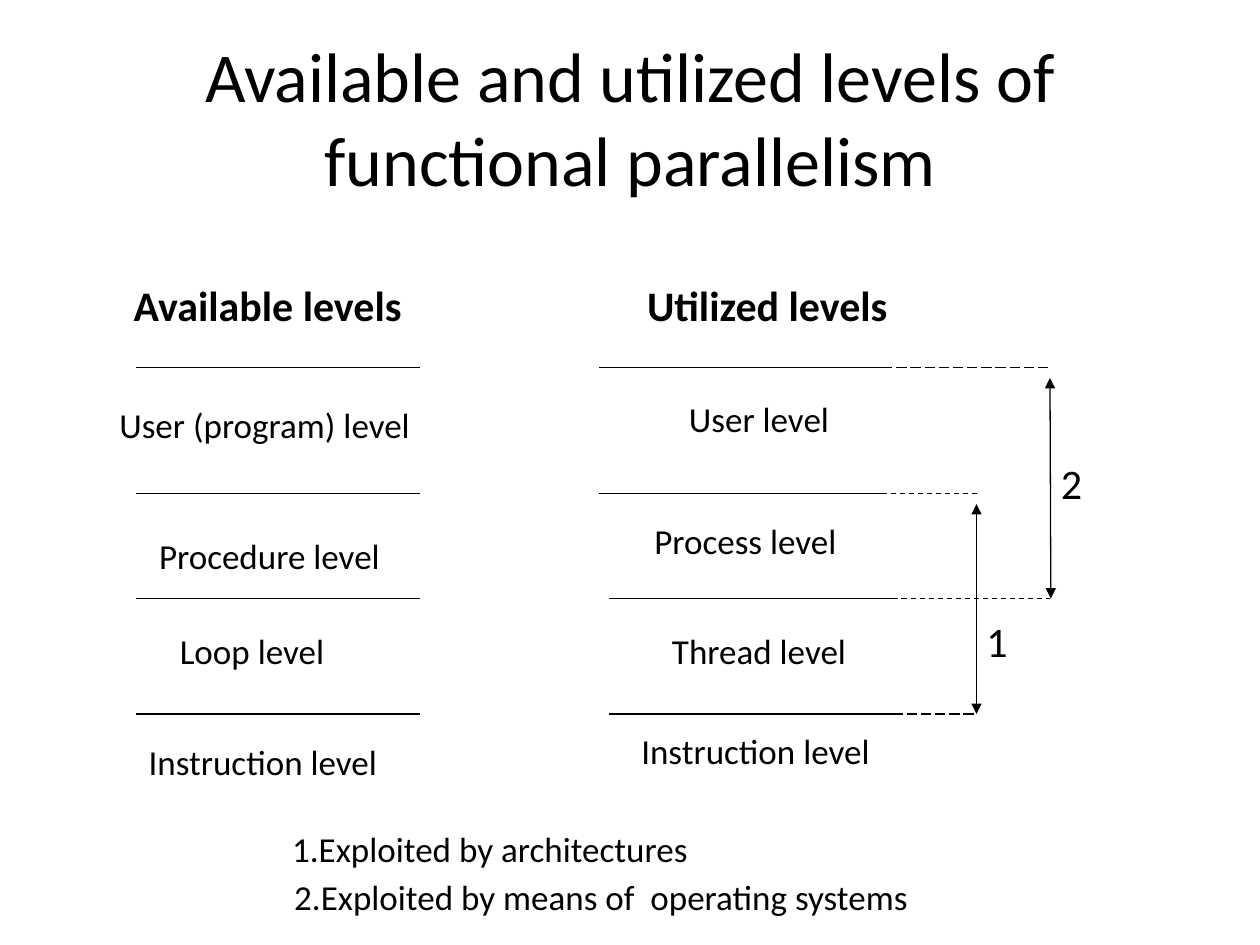
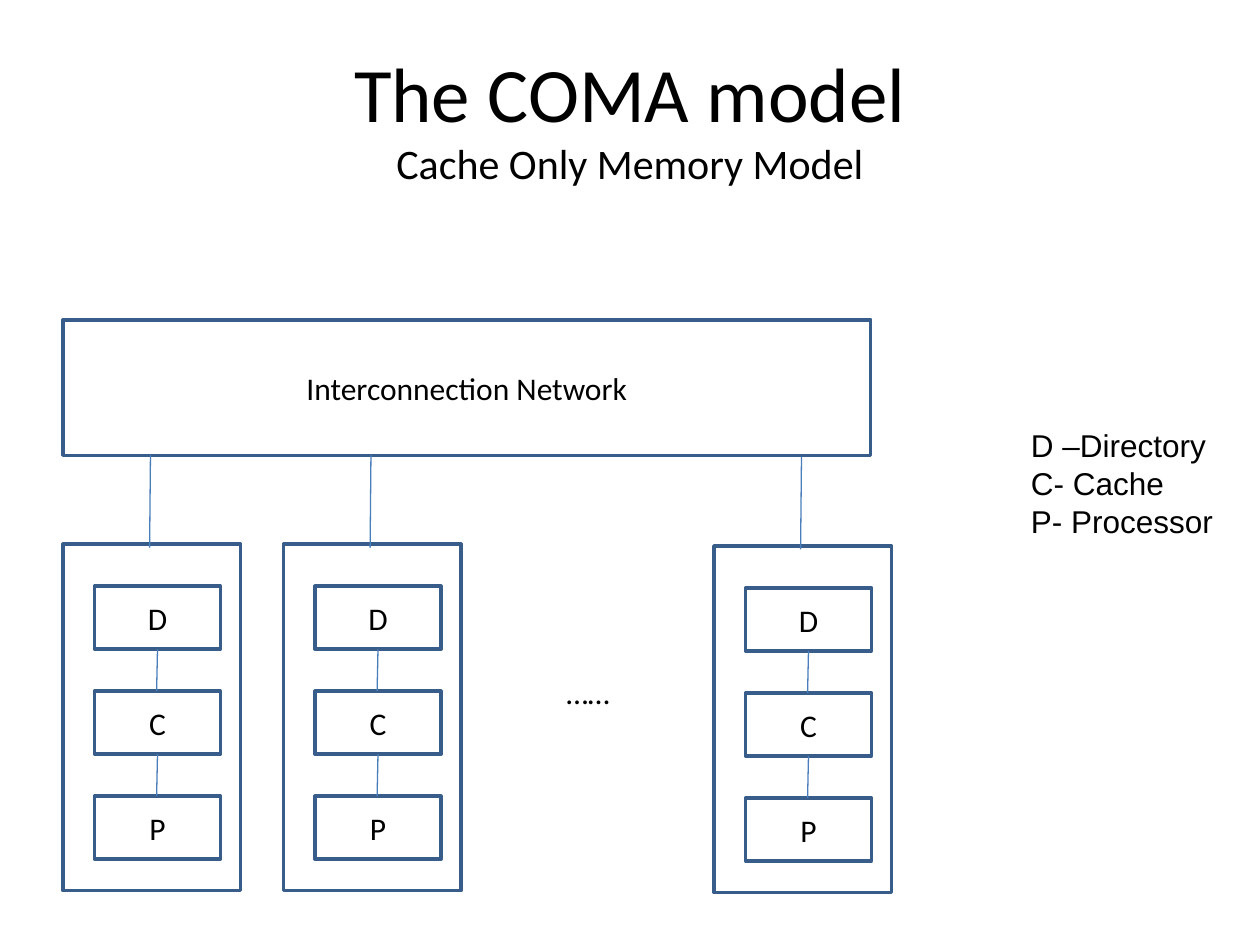
from typing import NamedTuple, Optional

from lxml import etree
from pptx import Presentation
from pptx.dml.color import RGBColor
from pptx.enum import dml, shapes, text
from pptx.oxml.ns import qn
from pptx.util import Pt

BLACK = RGBColor(0x00, 0x00, 0x00)
BOX_BLUE = RGBColor(0x38, 0x5D, 0x8A)
LINK_BLUE = RGBColor(0x4A, 0x7E, 0xBB)
BODY_FONT = "Calibri"
LEGEND_FONT = "Arial"
TITLE_ONLY = 5
DASH = dml.MSO_LINE.DASH
LONG_DASH = dml.MSO_LINE.LONG_DASH
CENTER = text.PP_ALIGN.CENTER
MIDDLE = text.MSO_ANCHOR.MIDDLE


class Label(NamedTuple):
    text: str
    left: float
    top: float
    width: float
    size: float = 20
    bold: bool = False


class Line(NamedTuple):
    x1: float
    y1: float
    x2: float
    y2: float
    color: RGBColor = BLACK
    dash: Optional[dml.MSO_LINE] = None
    arrows: bool = False


class Box(NamedTuple):
    left: float
    top: float
    width: float
    height: float
    text: str = ""


class Level(NamedTuple):
    """A dividing line of the utilized column and its dashed extension."""
    y: float
    left: float
    dash_end: float
    dash: dml.MSO_LINE


LABELS = [
    Label("Available levels", 68.5, 156, 169, 24, True),
    Label("Utilized levels", 362, 156, 153, 24, True),
    Label("User (program) level", 60.5, 227.5, 181.5),
    Label("Procedure level", 83.5, 302.5, 141),
    Label("Loop level", 95.5, 356.5, 97),
    Label("Instruction level", 77.5, 420, 145.5),
    Label("User level", 386.5, 224, 94.5),
    Label("Process level", 366.5, 294, 119),
    Label("Thread level", 376.5, 356.5, 114.5),
    Label("Instruction level", 359, 414, 145.5),
    Label("2", 599, 258, 26.5, 24),
    Label("1", 556.5, 348, 26.5, 24),
    Label("1.Exploited by architectures", 159, 470, 242),
    Label("2.Exploited by means of  operating systems", 160, 497.5, 367),
]
AVAILABLE_LEFT = 78
LEVEL_WIDTH = 162
INNER_END, OUTER_END = 558, 600
LEVELS = [
    Level(210, 342, OUTER_END, LONG_DASH),
    Level(282, 342, INNER_END, DASH),
    Level(342, 348, OUTER_END, DASH),
    Level(408, 348, INNER_END, LONG_DASH),
]
RANGES = [
    Line(OUTER_END, 216, OUTER_END + 0.5, 342, arrows=True),
    Line(INNER_END, 288, INNER_END, 408, arrows=True),
]

NETWORK = Box(36, 182.75, 461.5, 77.5, "Interconnection Network")
NODE_CORNERS = [(36, 311), (162, 311), (408, 312)]
NODE_PARTS = "DCP"
PART_STEP = 60
PART_WIDTH, PART_HEIGHT = 72, 36


def format_paragraph(paragraph, size: float, font: str = BODY_FONT,
                     align=CENTER, bold: bool = False) -> None:
    paragraph.alignment = align
    paragraph.font.size = Pt(size)
    paragraph.font.name = font
    paragraph.font.bold = bold
    paragraph.font.color.rgb = BLACK


def add_titled_slide(presentation, title: str, size: float):
    slide = presentation.slides.add_slide(presentation.slide_layouts[TITLE_ONLY])
    shape = slide.shapes.title
    shape.left, shape.top, shape.width, shape.height = map(Pt, (36, 21.6, 648, 90))
    shape.text_frame.text = title
    shape.text_frame.auto_size = text.MSO_AUTO_SIZE.NONE
    shape.text_frame.vertical_anchor = MIDDLE
    format_paragraph(shape.text_frame.paragraphs[0], size)
    return slide


def add_label(slide, label: Label) -> None:
    height = label.size * 1.5
    shape = slide.shapes.add_textbox(*map(Pt, (label.left, label.top, label.width, height)))
    frame = shape.text_frame
    frame.word_wrap = False
    frame.vertical_anchor = MIDDLE
    frame.text = label.text
    format_paragraph(frame.paragraphs[0], label.size, bold=label.bold)


def add_line(slide, line: Line) -> None:
    connector = slide.shapes.add_connector(
        shapes.MSO_CONNECTOR.STRAIGHT, *map(Pt, (line.x1, line.y1, line.x2, line.y2)))
    connector.line.color.rgb = line.color
    connector.line.width = Pt(0.75)
    if line.dash is not None:
        connector.line.dash_style = line.dash
    properties = connector._element.spPr
    if line.arrows:
        outline = properties.find(qn("a:ln"))
        for end in ("a:headEnd", "a:tailEnd"):
            etree.SubElement(outline, qn(end), type="triangle")
    etree.SubElement(properties, qn("a:effectLst"))


def add_box(slide, box: Box) -> None:
    shape = slide.shapes.add_shape(
        shapes.MSO_SHAPE.RECTANGLE, *map(Pt, (box.left, box.top, box.width, box.height)))
    shape.shadow.inherit = False
    shape.fill.background()
    shape.line.color.rgb = BOX_BLUE
    shape.line.width = Pt(2)
    if box.text:
        shape.text_frame.text = box.text
        shape.text_frame.vertical_anchor = MIDDLE
        format_paragraph(shape.text_frame.paragraphs[0], 18)


def add_node(slide, left: float, top: float) -> None:
    """Draw a node with its linked parts and its link to the network."""
    add_box(slide, Box(left, top, 101.5, 198))
    add_line(slide, Line(left + 50, top - 51, left + 49.5, top + 2, LINK_BLUE))
    middle = left + 18 + PART_WIDTH / 2
    for index, part in enumerate(NODE_PARTS):
        part_top = top + 24 + index * PART_STEP
        add_box(slide, Box(left + 18, part_top, PART_WIDTH, PART_HEIGHT, part))
        if index:
            add_line(slide, Line(middle, part_top - PART_STEP + PART_HEIGHT,
                                 middle - 0.5, part_top, LINK_BLUE))


def build_levels_slide(presentation) -> None:
    slide = add_titled_slide(
        presentation, "Available and utilized levels of functional parallelism", 40)
    for level in LEVELS:
        y, right = level.y, level.left + LEVEL_WIDTH
        add_line(slide, Line(AVAILABLE_LEFT, y, AVAILABLE_LEFT + LEVEL_WIDTH, y))
        add_line(slide, Line(level.left, y, right, y))
        add_line(slide, Line(right, y, level.dash_end, y, dash=level.dash))
    for line in RANGES:
        add_line(slide, line)
    for label in LABELS:
        add_label(slide, label)


def build_coma_slide(presentation) -> None:
    slide = add_titled_slide(presentation, "The COMA model", 44)
    paragraph = slide.shapes.title.text_frame.paragraphs[0]
    paragraph.add_line_break()
    subtitle = paragraph.add_run()
    subtitle.text = "Cache Only Memory Model"
    subtitle.font.size = Pt(24)

    add_box(slide, NETWORK)
    for left, top in NODE_CORNERS:
        add_node(slide, left, top)
    add_label(slide, Label("……", 288, 382, 96, 18))

    legend = slide.shapes.add_textbox(Pt(582), Pt(240), Pt(138), Pt(72)).text_frame
    legend.word_wrap = True
    legend.text = "D –Directory\nC- Cache\nP- Processor"
    for paragraph in legend.paragraphs:
        format_paragraph(paragraph, 18, LEGEND_FONT, text.PP_ALIGN.LEFT)


def main() -> None:
    presentation = Presentation()
    presentation.slide_width, presentation.slide_height = Pt(720), Pt(540)
    build_levels_slide(presentation)
    build_coma_slide(presentation)
    presentation.save("out.pptx")


if __name__ == "__main__":
    main()
